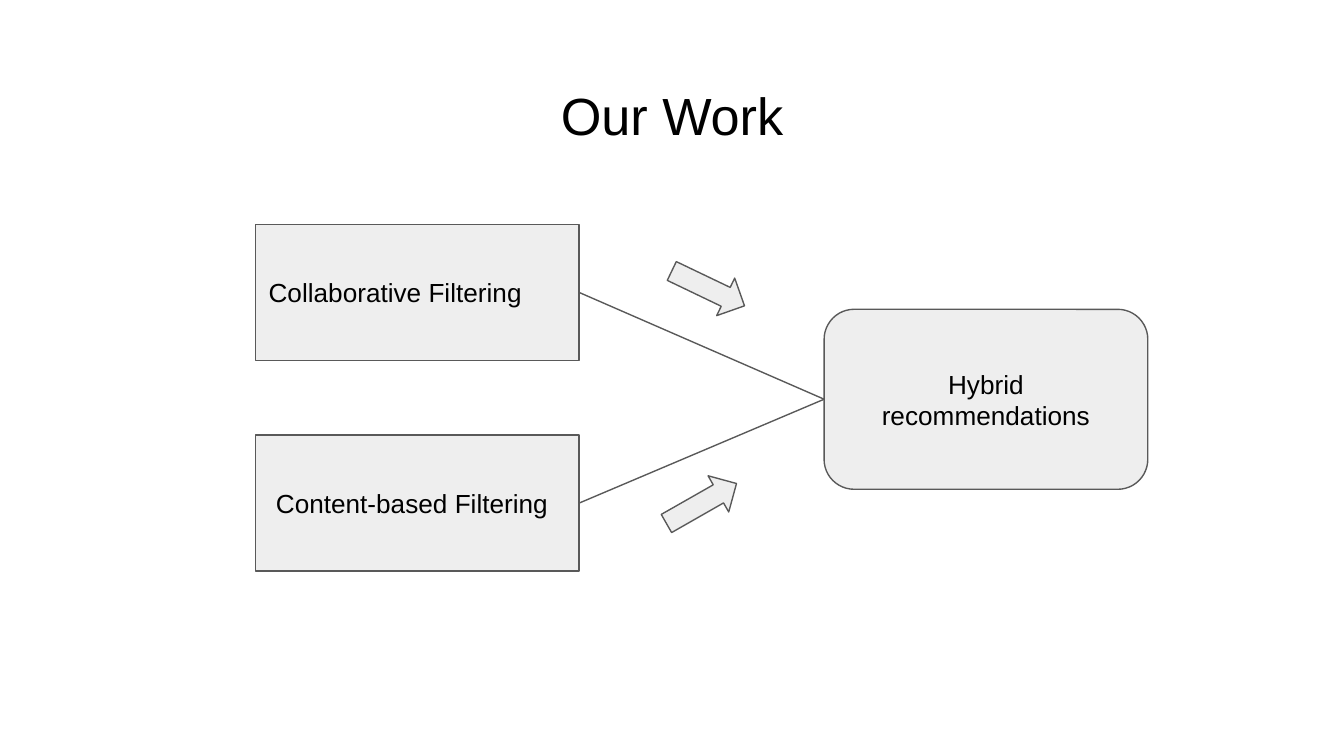
from dataclasses import dataclass

from lxml import etree
from pptx import Presentation
from pptx.dml.color import RGBColor
from pptx.enum.shapes import MSO_CONNECTOR, MSO_SHAPE
from pptx.enum.text import MSO_ANCHOR, PP_ALIGN
from pptx.oxml.ns import qn
from pptx.util import Pt

RECT = MSO_SHAPE.RECTANGLE
ROUND = MSO_SHAPE.FLOWCHART_ALTERNATE_PROCESS
ARROW = MSO_SHAPE.RIGHT_ARROW
LINE = MSO_CONNECTOR.STRAIGHT
LEFT, CENTER = PP_ALIGN.LEFT, PP_ALIGN.CENTER
TOP, MIDDLE = MSO_ANCHOR.TOP, MSO_ANCHOR.MIDDLE
LEFT_SIDE, RIGHT_SIDE = 1, 3


@dataclass(frozen=True)
class Theme:
    font: str = "Arial"
    ink: RGBColor = RGBColor(0x00, 0x00, 0x00)
    fill: RGBColor = RGBColor(0xEE, 0xEE, 0xEE)
    edge: RGBColor = RGBColor(0x59, 0x59, 0x59)
    title: float = 28
    body: float = 14
    stroke: float = 0.75
    inset: float = 7.2


class Board:
    def __init__(self, slide, theme):
        self.slide = slide
        self.theme = theme

    def label(self, frame, text, size, align, anchor):
        frame.word_wrap = True
        frame.vertical_anchor = anchor
        frame.margin_left = frame.margin_right = Pt(self.theme.inset)
        frame.margin_top = frame.margin_bottom = Pt(self.theme.inset)
        para = frame.paragraphs[0]
        para.alignment = align
        run = para.add_run()
        run.text = text
        run.font.name = self.theme.font
        run.font.size = Pt(size)
        run.font.color.rgb = self.theme.ink

    def title(self, text, x, y, w, h):
        box = self.slide.shapes.add_textbox(Pt(x), Pt(y), Pt(w), Pt(h))
        self.label(box.text_frame, text, self.theme.title, CENTER, TOP)
        box.text_frame.margin_top = Pt(9.5)
        box.text_frame.margin_bottom = Pt(3)

    def shape(self, kind, x, y, w, h):
        item = self.slide.shapes.add_shape(kind, Pt(x), Pt(y), Pt(w), Pt(h))
        item.shadow.inherit = False
        item.fill.solid()
        item.fill.fore_color.rgb = self.theme.fill
        item.line.color.rgb = self.theme.edge
        item.line.width = Pt(self.theme.stroke)
        return item

    def box(self, kind, text, x, y, w, h, align=LEFT):
        item = self.shape(kind, x, y, w, h)
        self.label(item.text_frame, text, self.theme.body, align, MIDDLE)
        return item

    def arrow(self, x, y, turn):
        item = self.shape(ARROW, x, y, 43.2, 22.3)
        item.rotation = turn

    def link(self, start, end):
        """Join the right side of start to the left side of end."""
        line = self.slide.shapes.add_connector(LINE, 0, 0, 0, 0)
        line.begin_connect(start, RIGHT_SIDE)
        line.end_connect(end, LEFT_SIDE)
        line.line.color.rgb = self.theme.edge
        line.line.width = Pt(self.theme.stroke)
        etree.SubElement(line._element.spPr, qn("a:effectLst"))


def main():
    deck = Presentation()
    deck.slide_width, deck.slide_height = Pt(720), Pt(405)
    board = Board(deck.slides.add_slide(deck.slide_layouts[6]), Theme())

    board.title("Our Work", 24.5, 35.3, 671, 45.4)

    width = 173.4
    inputs = [
        board.box(RECT, text, 136.8, y, width, 72.9)
        for text, y in (
            ("Collaborative Filtering", 120.2),
            (" Content-based Filtering", 233.1),
        )
    ]
    hybrid = board.box(
        ROUND, "Hybrid recommendations", 441.5, 165.7, width, 96.4, CENTER
    )
    for source in inputs:
        board.link(source, hybrid)

    board.arrow(357.8, 143.4, 25.6)
    board.arrow(354.2, 258.6, 330.3)

    deck.save("out.pptx")


if __name__ == "__main__":
    main()
